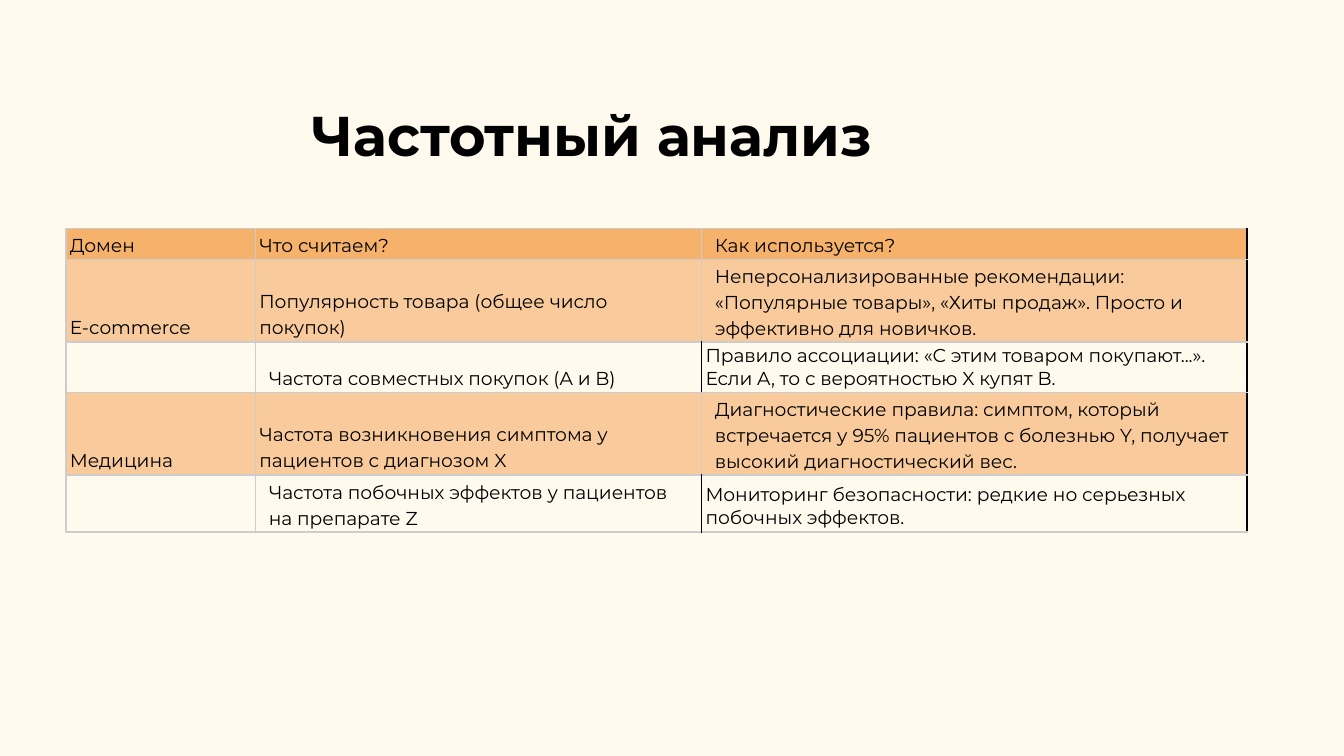
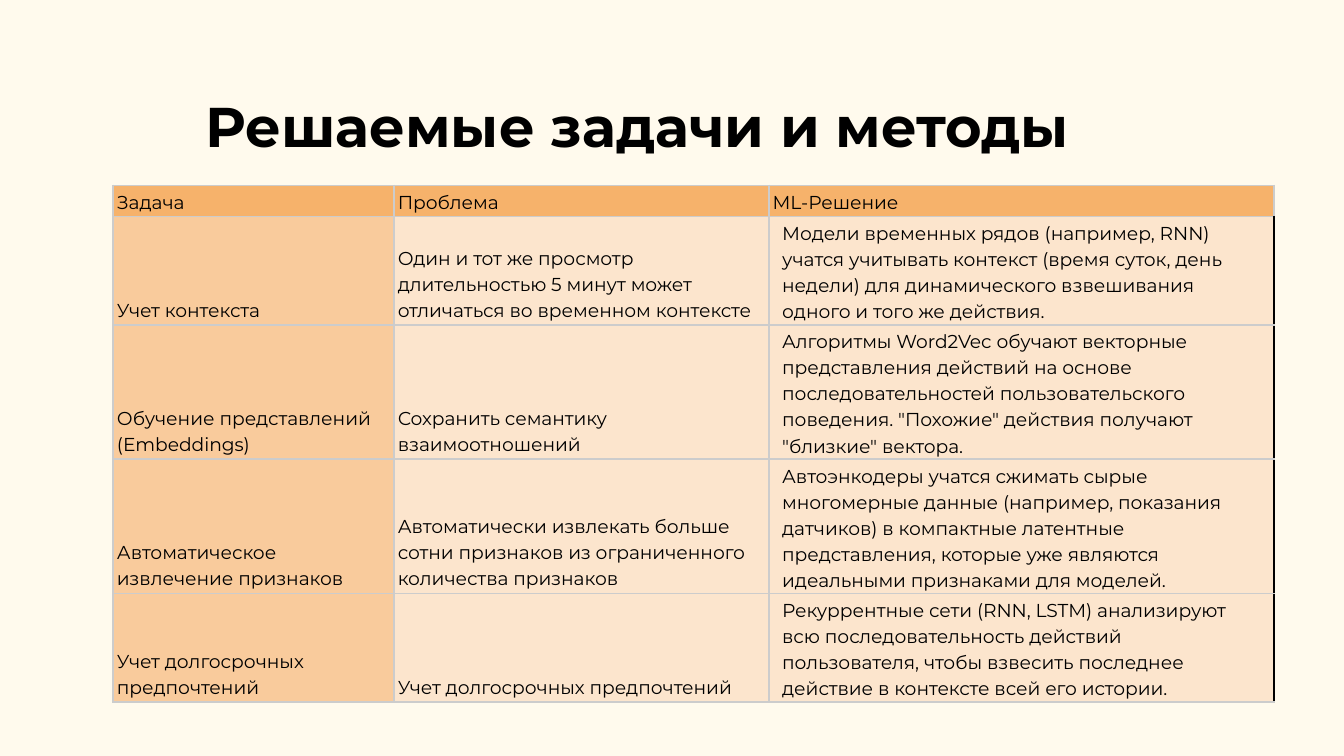
from pptx import Presentation
from pptx import util as u
from pptx.dml.color import RGBColor
from pptx.enum import text
from pptx.oxml import parse_xml
from pptx.oxml.ns import nsdecls

FONT = "Montserrat"
BLACK, GREY = "000000", "CCCCCC"
CREAM, HEAD, PEACH, PALE = "FFFAED", "F6B26B", "F9CB9C", "FCE5CD"

KINDS = {
    "plain": dict(pad=0.03, gap=1.15, left=GREY, right=GREY),
    "wide": dict(pad=0.1, gap=1.15, left=GREY, right=BLACK),
    "dense": dict(pad=0.03, gap=None, left=BLACK, right=BLACK),
}
USUAL = ("plain", "plain", "wide")
SPLIT = ("plain", "wide", "dense")
EVEN = ("plain",) * 3


def color(code):
    return RGBColor.from_string(code)


def write(frame, words, size=10, bold=False, gap=None):
    frame.word_wrap = True
    par = frame.paragraphs[0]
    par.line_spacing = gap
    par.font.size = u.Pt(size)
    if words:
        run = par.add_run()
        run.text = words
        font = run.font
        font.name, font.size, font.bold = FONT, u.Pt(size), bold
        font.color.rgb = color(BLACK)


def border(cell, left, right):
    sides = (("L", left), ("R", right), ("T", GREY), ("B", GREY))
    for spot, (side, code) in enumerate(sides):
        line = parse_xml(
            f'<a:ln{side} {nsdecls("a")} w="{u.Pt(1)}"><a:solidFill>'
            f'<a:srgbClr val="{code}"/></a:solidFill></a:ln{side}>'
        )
        cell._tc.get_or_add_tcPr().insert(spot, line)


class Deck:
    def __init__(self):
        self.show = Presentation()
        self.show.slide_width = u.Inches(10)
        self.show.slide_height = u.Inches(10 * 9 / 16)

    def page(self):
        self.slide = self.show.slides.add_slide(self.show.slide_layouts[6])
        fill = self.slide.background.fill
        fill.solid()
        fill.fore_color.rgb = color(CREAM)

    def title(self, words, left, top, width):
        box = self.slide.shapes.add_textbox(
            u.Inches(left), u.Inches(top), u.Inches(width), u.Inches(0.71)
        )
        frame = box.text_frame
        frame.margin_left = frame.margin_right = u.Inches(0.1)
        frame.margin_top = frame.margin_bottom = u.Inches(0.1)
        frame.auto_size = text.MSO_AUTO_SIZE.SHAPE_TO_FIT_TEXT
        write(frame, words, size=30, bold=True)

    def cell(self, cell, words, kind, code):
        style = KINDS[kind]
        cell.margin_left = cell.margin_right = u.Inches(style["pad"])
        cell.margin_top = cell.margin_bottom = u.Inches(0.02)
        cell.vertical_anchor = text.MSO_ANCHOR.BOTTOM
        if code:
            cell.fill.solid()
            cell.fill.fore_color.rgb = color(code)
        else:
            cell.fill.background()
        border(cell, style["left"], style["right"])
        write(cell.text_frame, words, gap=style["gap"])

    def table(self, left, top, widths, rows):
        grid = self.slide.shapes.add_table(
            len(rows), len(widths), u.Inches(left), u.Inches(top),
            u.Inches(sum(widths)), u.Inches(sum(row[0] for row in rows)),
        ).table
        grid.first_row = grid.horz_banding = False
        for col, width in zip(grid.columns, widths):
            col.width = u.Inches(width)
        for line, (height, kinds, fills, words) in zip(grid.rows, rows):
            line.height = u.Inches(height)
            for item in zip(line.cells, words, kinds, fills):
                self.cell(*item)


def main():
    deck = Deck()
    head, peach, clear = (HEAD,) * 3, (PEACH,) * 3, (None,) * 3
    mixed = (PEACH, PALE, PALE)

    deck.page()
    deck.title("Частотный анализ", 2.22, 0.65, 6.57)
    deck.table(0.49, 1.7, (1.41, 3.32, 4.06), [
        (0.12, USUAL, head, ("Домен", "Что считаем?", "Как используется?")),
        (0.51, USUAL, peach, (
            "E-commerce",
            "Популярность товара (общее число покупок)",
            "Неперсонализированные рекомендации: «Популярные товары», "
            "«Хиты продаж». Просто и эффективно для новичков.")),
        (0.22, SPLIT, clear, (
            "",
            "Частота совместных покупок (A и B)",
            "Правило ассоциации: «С этим товаром покупают...». "
            "Если A, то с вероятностью X купят B.")),
        (0.42, USUAL, peach, (
            "Медицина",
            "Частота возникновения симптома у пациентов с диагнозом X",
            "Диагностические правила: симптом, который встречается у 95% "
            "пациентов с болезнью Y, получает высокий диагностический вес.")),
        (0.36, SPLIT, clear, (
            "",
            "Частота побочных эффектов у пациентов на препарате Z",
            "Мониторинг безопасности: редкие но серьезных побочных эффектов.")),
    ])

    deck.page()
    deck.title("Решаемые задачи и методы", 1.43, 0.58, 7.3)
    deck.table(0.84, 1.38, (2.09, 2.79, 3.76), [
        (0.22, EVEN, head, ("Задача", "Проблема", "ML-Решение")),
        (0.51, USUAL, mixed, (
            "Учет контекста",
            "Один и тот же просмотр длительностью 5 минут может отличаться "
            "во временном контексте",
            "Модели временных рядов (например, RNN) учатся учитывать контекст "
            "(время суток, день недели) для динамического взвешивания одного "
            "и того же действия.")),
        (0.7, USUAL, mixed, (
            "Обучение представлений (Embeddings)",
            "Сохранить семантику взаимоотношений",
            "Алгоритмы Word2Vec обучают векторные представления действий "
            "на основе последовательностей пользовательского поведения. "
            '"Похожие" действия получают "близкие" вектора.')),
        (0.71, USUAL, mixed, (
            "Автоматическое извлечение признаков",
            "Автоматически извлекать больше сотни признаков из ограниченного "
            "количества признаков",
            "Автоэнкодеры учатся сжимать сырые многомерные данные (например, "
            "показания датчиков) в компактные латентные представления, "
            "которые уже являются идеальными признаками для моделей.")),
        (0.36, USUAL, mixed, (
            "Учет долгосрочных предпочтений",
            "Учет долгосрочных предпочтений",
            "Рекуррентные сети (RNN, LSTM) анализируют всю последовательность "
            "действий пользователя, чтобы взвесить последнее действие "
            "в контексте всей его истории.")),
    ])
    deck.show.save("out.pptx")


if __name__ == "__main__":
    main()
